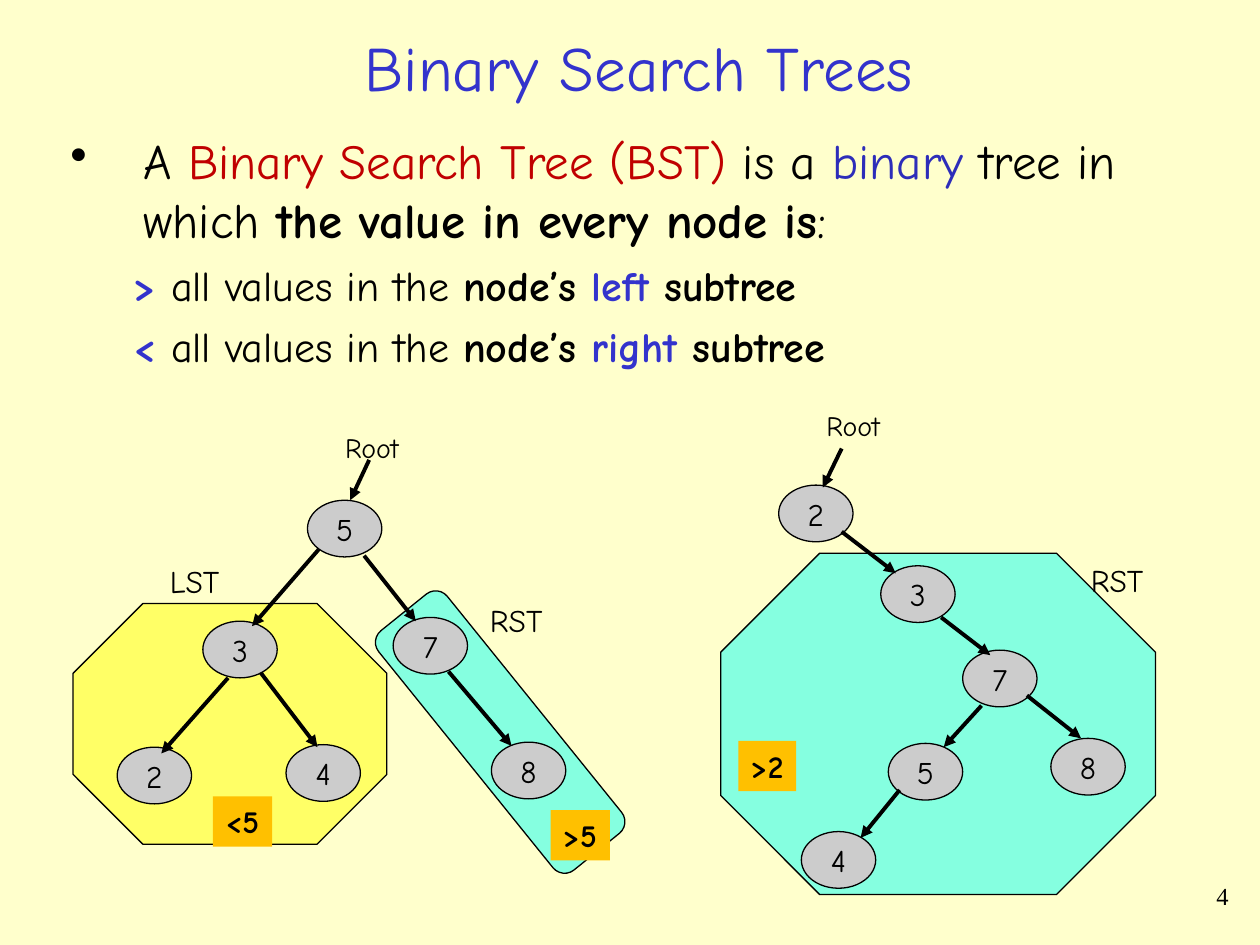
from dataclasses import dataclass, field
from typing import NamedTuple, Optional

from lxml.etree import SubElement
from pptx import Presentation
from pptx.dml.color import RGBColor
from pptx.enum.shapes import MSO_CONNECTOR, MSO_SHAPE
from pptx.enum.text import MSO_ANCHOR, MSO_AUTO_SIZE, PP_ALIGN
from pptx.oxml.ns import qn
from pptx.util import Pt

SCALE = 9144  # EMU per px, 100 px to the inch
NODE_W, NODE_H = 59, 45
FONT = "Comic Neue"

CREAM = RGBColor(0xFF, 0xFF, 0xCC)
BLACK = RGBColor(0x00, 0x00, 0x00)
BLUE = RGBColor(0x33, 0x33, 0xCC)
DARK_BLUE = RGBColor(0x2D, 0x2D, 0xB9)
RED = RGBColor(0xC0, 0x00, 0x00)
GREY = RGBColor(0xCC, 0xCC, 0xCC)
YELLOW = RGBColor(0xFF, 0xFF, 0x66)
AQUA = RGBColor(0x85, 0xFF, 0xE0)
ORANGE = RGBColor(0xFF, 0xC0, 0x00)


class Box(NamedTuple):
    x: int
    y: int
    w: int
    h: int


class Region(NamedTuple):
    kind: MSO_SHAPE
    box: Box
    fill: RGBColor
    adj: float
    rotation: float = 0


class Node(NamedTuple):
    value: str
    x: int
    y: int


class Arrow(NamedTuple):
    x1: int
    y1: int
    x2: int
    y2: int


class Label(NamedTuple):
    text: str
    box: Box
    size: int = 18
    fill: Optional[RGBColor] = None


@dataclass
class Tree:
    regions: list[Region] = field(default_factory=list)
    nodes: list[Node] = field(default_factory=list)
    arrows: list[Arrow] = field(default_factory=list)
    labels: list[Label] = field(default_factory=list)


LEFT_TREE = Tree(
    [Region(MSO_SHAPE.ROUNDED_RECTANGLE, Box(362, 459, 70, 244), AQUA, 0.17, 321.1),
     Region(MSO_SHAPE.OCTAGON, Box(58, 479, 249, 191), YELLOW, 0.29)],
    [Node("5", 244, 397), Node("3", 161, 493), Node("7", 312, 490),
     Node("8", 390, 589), Node("2", 93, 593), Node("4", 227, 591)],
    [Arrow(293, 365, 278, 397), Arrow(253, 436, 200, 497), Arrow(289, 441, 330, 493),
     Arrow(356, 533, 406, 592), Arrow(181, 538, 128, 598), Arrow(207, 534, 252, 593)],
    [Label("Root", Box(264, 337, 64, 37), 16),
     Label("LST", Box(125, 441, 60, 40)), Label("RST", Box(379, 472, 64, 40)),
     Label("<5", Box(169, 632, 47, 40), fill=ORANGE),
     Label(">5", Box(437, 643, 47, 40), fill=ORANGE)],
)
RIGHT_TREE = Tree(
    [Region(MSO_SHAPE.OCTAGON, Box(572, 439, 345, 271), AQUA, 0.29)],
    [Node("2", 618, 385), Node("3", 699, 449), Node("7", 764, 516),
     Node("8", 834, 586), Node("5", 705, 590), Node("4", 636, 660)],
    [Arrow(668, 356, 653, 387), Arrow(668, 422, 711, 455), Arrow(747, 490, 786, 520),
     Arrow(815, 552, 858, 586), Arrow(779, 560, 749, 593), Arrow(714, 627, 683, 665)],
    [Label("Root", Box(646, 319, 64, 37), 16), Label("RST", Box(856, 440, 64, 40)),
     Label(">2", Box(586, 588, 46, 40), fill=ORANGE)],
)


def emu(*lengths: int) -> list[int]:
    return [v * SCALE for v in lengths]


def add_run(p, text: str, size: int, color: RGBColor = BLACK,
            bold: bool = False, font: str = FONT) -> None:
    r = p.add_run()
    r.text = text
    for name, value in {"name": font, "size": Pt(size), "bold": bold}.items():
        setattr(r.font, name, value)
    r.font.color.rgb = color


def add_text(shapes, box: Box, **frame):
    tf = shapes.add_textbox(*emu(*box)).text_frame
    for name, value in ({"word_wrap": True} | frame).items():
        setattr(tf, name, value)
    return tf


def add_solid(shapes, kind: MSO_SHAPE, box: Box, fill: RGBColor):
    sp = shapes.add_shape(kind, *emu(*box))
    sp.shadow.inherit = False
    sp.fill.solid()
    sp.fill.fore_color.rgb = fill
    sp.line.color.rgb = BLACK
    sp.line.width = Pt(0.75)
    return sp


def draw_region(shapes, region: Region) -> None:
    sp = add_solid(shapes, region.kind, region.box, region.fill)
    sp.adjustments[0] = region.adj
    sp.rotation = region.rotation


def draw_node(shapes, node: Node) -> None:
    sp = add_solid(shapes, MSO_SHAPE.OVAL, Box(node.x, node.y, NODE_W, NODE_H), GREY)
    tf = sp.text_frame
    tf.word_wrap = False
    tf.vertical_anchor = MSO_ANCHOR.MIDDLE
    p = tf.paragraphs[0]
    p.alignment = PP_ALIGN.CENTER
    add_run(p, node.value, 18)


def draw_arrow(shapes, arrow: Arrow) -> None:
    cx = shapes.add_connector(MSO_CONNECTOR.STRAIGHT, *emu(*arrow))
    cx.line.color.rgb = BLACK
    cx.line.width = Pt(2.25)
    SubElement(cx.line._get_or_add_ln(), qn("a:tailEnd"), type="triangle")
    SubElement(cx._element.spPr, qn("a:effectLst"))


def draw_label(shapes, label: Label) -> None:
    sp = shapes.add_textbox(*emu(*label.box))
    if label.fill is not None:
        sp.fill.solid()
        sp.fill.fore_color.rgb = label.fill
    tf = sp.text_frame
    tf.word_wrap = False
    tf.auto_size = MSO_AUTO_SIZE.SHAPE_TO_FIT_TEXT
    add_run(tf.paragraphs[0], label.text, label.size, bold=label.fill is not None)


def draw_tree(shapes, tree: Tree) -> None:
    for draw, parts in ((draw_region, tree.regions), (draw_node, tree.nodes),
                        (draw_arrow, tree.arrows), (draw_label, tree.labels)):
        for part in parts:
            draw(shapes, part)


def draw_definition(shapes) -> None:
    tf = add_text(shapes, Box(46, 99, 918, 245))
    # Bulleted definition
    p = tf.paragraphs[0]
    p.space_before = Pt(7)
    pPr = p._p.get_or_add_pPr()
    pPr.set("marL", str(58 * SCALE))
    pPr.set("indent", str(-58 * SCALE))
    SubElement(SubElement(pPr, qn("a:buClr")), qn("a:srgbClr"), val=str(BLACK))
    SubElement(pPr, qn("a:buChar"), char="•")
    for text, color, bold in (
            ("A ", BLACK, False), ("Binary Search Tree (BST)", RED, False),
            (" is a ", BLACK, False), ("binary", DARK_BLUE, False),
            (" tree in which ", BLACK, False),
            ("the value in every node is", BLACK, True), (":", BLACK, False)):
        add_run(p, text, 28, color, bold)
    # One condition per subtree
    for sign, side in ((">", "left"), ("<", "right")):
        p = tf.add_paragraph()
        p.level = 1
        p.space_before = Pt(6)
        pPr = p._p.get_or_add_pPr()
        pPr.set("marL", str(100 * SCALE))
        pPr.set("indent", str(-50 * SCALE))
        add_run(p, f"{sign} ", 24, BLUE, True)
        add_run(p, "all values in the ", 24)
        add_run(p, "node’s ", 24, bold=True)
        add_run(p, side, 24, BLUE, True)
        add_run(p, " subtree", 24, bold=True)


def main() -> None:
    prs = Presentation()
    prs.slide_width, prs.slide_height = emu(1000, 750)
    s = prs.slides.add_slide(prs.slide_layouts[6])
    s.background.fill.solid()
    s.background.fill.fore_color.rgb = CREAM

    # Slide number and title
    p = add_text(s.shapes, Box(777, 694, 208, 50)).paragraphs[0]
    p.alignment = PP_ALIGN.RIGHT
    add_run(p, "4", 14, font="Times New Roman")
    p = add_text(s.shapes, Box(30, 15, 954, 76),
                 vertical_anchor=MSO_ANCHOR.MIDDLE).paragraphs[0]
    p.alignment = PP_ALIGN.CENTER
    add_run(p, "Binary Search Trees", 36, BLUE)

    # Definition and the two example trees
    draw_tree(s.shapes, LEFT_TREE)
    draw_definition(s.shapes)
    draw_tree(s.shapes.add_group_shape().shapes, RIGHT_TREE)
    prs.save("out.pptx")


if __name__ == "__main__":
    main()
